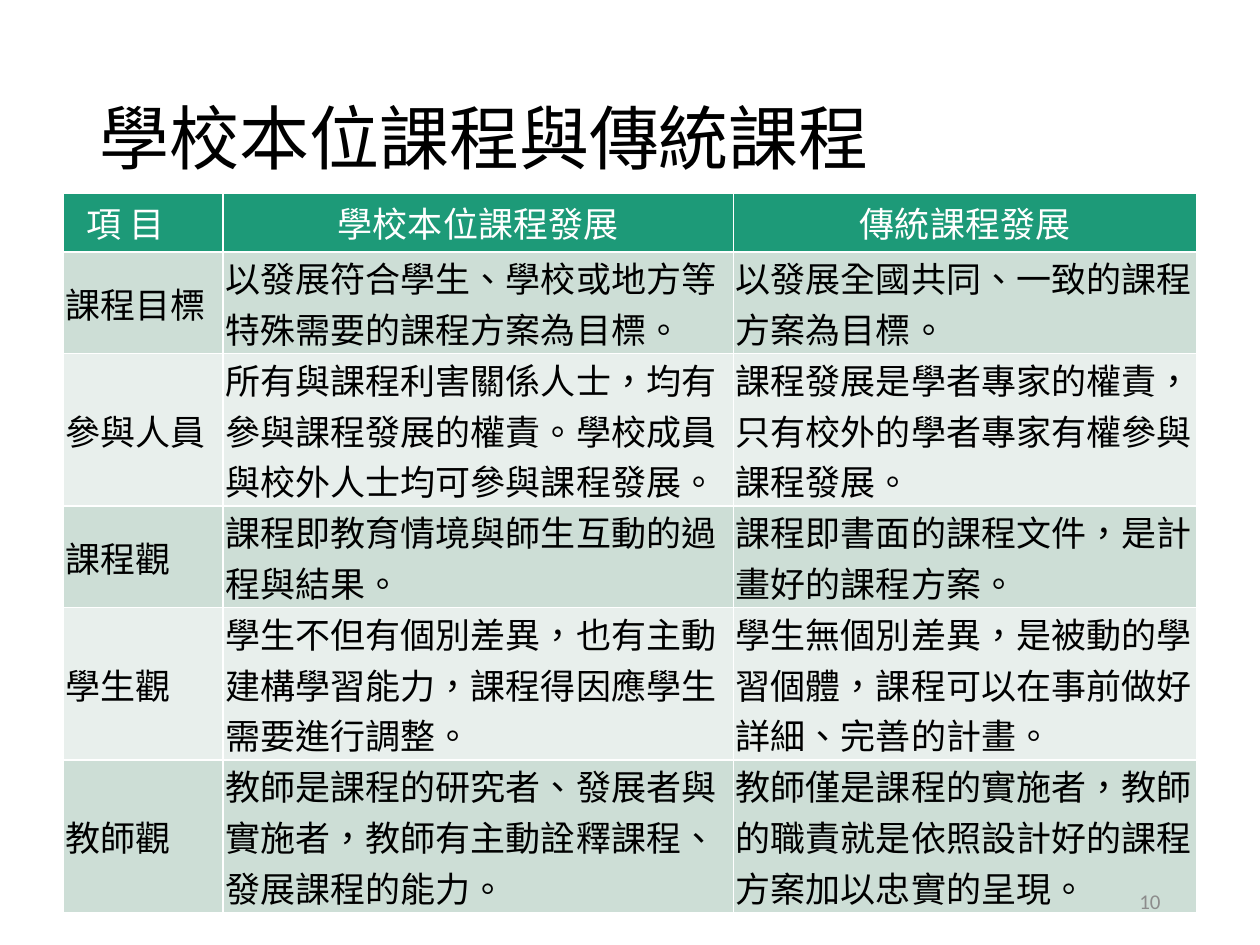
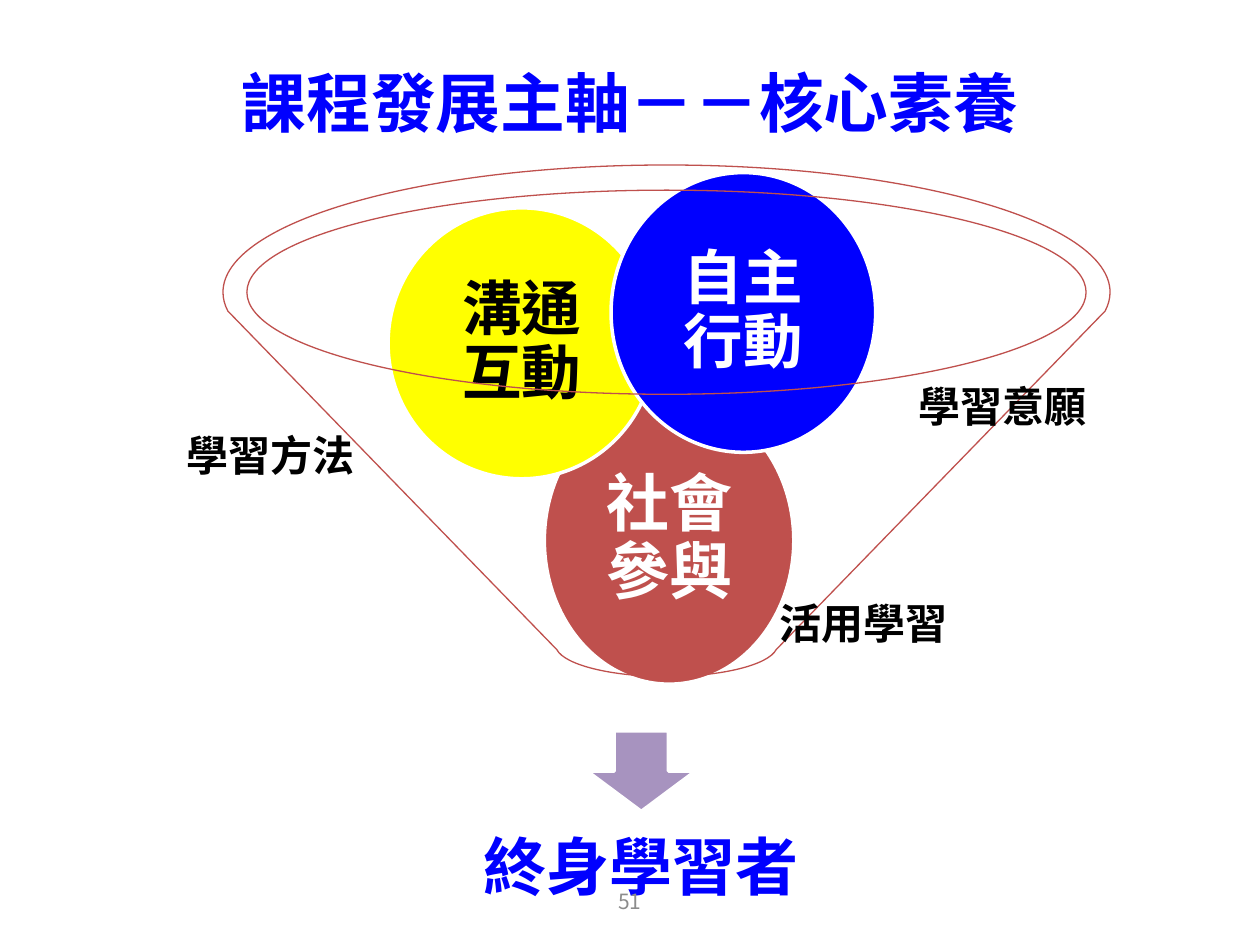
from math import cos, sin, tan, radians
from lxml import etree
from pptx import Presentation, util as u
from pptx.dml.color import RGBColor
from pptx.enum import shapes, text
from pptx.oxml.ns import qn

# ---- Content ----
TABLE_TITLE = "學校本位課程與傳統課程"
TABLE = [
    ("項 目", "學校本位課程發展", "傳統課程發展"),
    ("課程目標", "以發展符合學生、學校或地方等特殊需要的課程方案為目標。",
     "以發展全國共同、一致的課程方案為目標。"),
    ("參與人員", "所有與課程利害關係人士，均有參與課程發展的權責。學校成員與校外人士均可參與課程發展。",
     "課程發展是學者專家的權責，只有校外的學者專家有權參與課程發展。"),
    ("課程觀", "課程即教育情境與師生互動的過程與結果。",
     "課程即書面的課程文件，是計畫好的課程方案。"),
    ("學生觀", "學生不但有個別差異，也有主動建構學習能力，課程得因應學生需要進行調整。",
     "學生無個別差異，是被動的學習個體，課程可以在事前做好詳細、完善的計畫。"),
    ("教師觀", "教師是課程的研究者、發展者與實施者，教師有主動詮釋課程、發展課程的能力。",
     "教師僅是課程的實施者，教師的職責就是依照設計好的課程方案加以忠實的呈現。"),
]
COL_WIDTHS = (1.27, 4.05, 3.68)
ROW_HEIGHTS = (0.47, 0.78, 1.16, 0.78, 1.16, 1.16)

FUNNEL_TITLE = "課程發展主軸－－核心素養"
OUTCOME = "終身學習者"
# text, box, fill, text colour, size
COMPETENCIES = [
    ("社會參與", (4.32, 3.15, 1.98, 2.28), "red", "white", 36),
    ("溝通互動", (3.08, 1.65, 2.12, 2.15), "yellow", "black", 34),
    ("自主行動", (4.85, 1.37, 2.10, 2.22), "blue", "white", 34),
]
# text, left, top, alignment
SIDE_LABELS = [
    ("學習意願", 7.19, 2.97, "l"),
    ("學習方法", 1.25, 3.36, "c"),
    ("活用學習", 6.09, 4.69, "l"),
]

# ---- Shared style ----
COLORS = dict(black="000000", white="FFFFFF", blue="0000FF", yellow="FFFF00",
              red="BF504D", purple="A793BF", gray="8C8C8C",
              head="1D9A78", band_dark="CDDED6", band_light="E8EFEC")
SANS, CJK, SERIF = "Calibri", "Noto Sans CJK SC", "Times New Roman"
ALIGN = dict(l=text.PP_ALIGN.LEFT, c=text.PP_ALIGN.CENTER, r=text.PP_ALIGN.RIGHT)
MIDDLE, TOP = text.MSO_ANCHOR.MIDDLE, text.MSO_ANCHOR.TOP


def rgb(name):
    return RGBColor.from_string(COLORS[name])


def inches(box):
    return [u.Inches(v) for v in box]


def write(tf, words, size=20, color="black", font=CJK, bold=False, align="l",
          spacing=None, indent=0):
    p = tf.paragraphs[0]
    p.alignment = ALIGN[align]
    if spacing:
        p.line_spacing = spacing
    if indent:
        p._p.get_or_add_pPr().set("indent", str(u.Inches(indent)))
    r = p.add_run()
    r.text = words
    r.font.size, r.font.bold, r.font.name = u.Pt(size), bold, font
    r.font.color.rgb = rgb(color)
    rPr = r._r.get_or_add_rPr()
    rPr.set("lang", "zh-TW")
    etree.SubElement(rPr, qn("a:ea")).set("typeface", CJK)


def frame(tf, anchor=MIDDLE, inset=(0.1, 0.05)):
    tf.word_wrap = True
    tf.auto_size = text.MSO_AUTO_SIZE.NONE
    tf.vertical_anchor = anchor
    tf.margin_left = tf.margin_right = u.Inches(inset[0])
    tf.margin_top = tf.margin_bottom = u.Inches(inset[1])
    return tf


def textbox(s, words, box, anchor=MIDDLE, inset=(0.1, 0.05), **fmt):
    write(frame(s.shapes.add_textbox(*inches(box)).text_frame, anchor, inset), words, **fmt)


def title(s, words, box, **fmt):
    sp = s.shapes.title
    sp.left, sp.top, sp.width, sp.height = inches(box)
    write(frame(sp.text_frame), words, **fmt)


def page_number(s, number, left, width, **fmt):
    textbox(s, number, (left, 6.95, width, 0.4), size=12, color="gray", **fmt)


def style(sp, fill=None, line="white", width=2):
    sp.shadow.inherit = False
    if fill:
        sp.fill.solid()
        sp.fill.fore_color.rgb = rgb(fill)
    else:
        sp.fill.background()
    sp.line.color.rgb = rgb(line)
    sp.line.width = u.Pt(width)


def cell_borders(cell, color="white", width=1):
    tcPr = cell._tc.get_or_add_tcPr()
    for side in ("lnL", "lnR", "lnT", "lnB"):
        ln = etree.SubElement(tcPr, qn("a:" + side), w=str(u.Pt(width)))
        fill = etree.SubElement(ln, qn("a:solidFill"))
        etree.SubElement(fill, qn("a:srgbClr"), val=COLORS[color])


def arc(cx, cy, rx, ry, *angles):
    """Bezier points of an elliptical arc through the angles (clockwise from the right)."""
    def point(a, k=0):
        return u.Inches(cx + rx * (cos(a) - k * sin(a))), u.Inches(cy + ry * (sin(a) + k * cos(a)))

    turns = [radians(a) for a in angles]
    points = [point(turns[0])]
    for a, b in zip(turns, turns[1:]):
        k = 4 / 3 * tan((b - a) / 4)
        points += [point(a, k), point(b, -k), point(b)]
    return points


def curved_outline(s, contours):
    """Closed contours, each a list of arcs joined by straight lines."""
    outlines = [sum(arcs, []) for arcs in contours]
    fb = s.shapes.build_freeform(*outlines[0][0], scale=1.0)
    for i, points in enumerate(outlines):
        if i:
            fb.move_to(*points[0])
        fb.add_line_segments(points[1:], close=True)
    sp = fb.convert_to_shape()
    lines = iter(list(sp._element.iter(qn("a:lnTo"))))
    for arcs in contours:
        for j, points in enumerate(arcs):
            if j:
                next(lines)  # straight join between arcs
            for _ in range(len(points) // 3):
                curve = next(lines)
                curve.tag = qn("a:cubicBezTo")
                for _ in range(2):
                    line = next(lines)
                    curve.append(line[0])
                    line.getparent().remove(line)
    return sp


# ---- Slides ----
def comparison_slide(prs):
    s = prs.slides.add_slide(prs.slide_layouts[5])
    title(s, TABLE_TITLE, (0.69, 0.4, 8.62, 1.45), size=40, font=SANS, spacing=0.9)

    box = (0.5, 1.53, sum(COL_WIDTHS), sum(ROW_HEIGHTS))
    table = s.shapes.add_table(len(TABLE), len(COL_WIDTHS), *inches(box)).table
    for col, width in zip(table.columns, COL_WIDTHS):
        col.width = u.Inches(width)
    for i, (row, height) in enumerate(zip(TABLE, ROW_HEIGHTS)):
        table.rows[i].height = u.Inches(height)
        band = "head" if i == 0 else ("band_light", "band_dark")[i % 2]
        for j, words in enumerate(row):
            cell = table.cell(i, j)
            cell_borders(cell)
            cell.fill.solid()
            cell.fill.fore_color.rgb = rgb(band)
            cell.margin_left = cell.margin_right = u.Inches(0.02)
            cell.margin_top = cell.margin_bottom = 0
            cell.vertical_anchor = MIDDLE if i == 0 or j == 0 else TOP
            write(cell.text_frame, words, font=SERIF,
                  color="black" if i else "white",
                  align="c" if i == 0 and j else "l",
                  indent=0.17 if i == j == 0 else 0)
    page_number(s, "10", 7.06, 2.25, font=SANS, align="r")


def funnel_slide(prs):
    s = prs.slides.add_slide(prs.slide_layouts[5])
    title(s, FUNNEL_TITLE, (0.5, 0.31, 9, 0.99), size=37, color="blue", bold=True, align="c")

    # Arrow to the outcome
    arrow = s.shapes.add_shape(shapes.MSO_SHAPE.DOWN_ARROW, *inches((4.66, 5.8, 0.86, 0.64)))
    style(arrow, "purple")
    textbox(s, OUTCOME, (3.03, 6.31, 4.12, 1.19), inset=(0.28, 0.28), size=36,
            color="blue", bold=True, align="c", spacing=0.9)

    # Competency circles
    for words, box, fill, color, size in COMPETENCIES:
        sp = s.shapes.add_shape(shapes.MSO_SHAPE.OVAL, *inches(box))
        style(sp, fill)
        write(frame(sp.text_frame, inset=(0.05, 0.05)), words, size=size,
              color=color, bold=True, align="c", spacing=0.9)

    # Funnel: outer rim joined to the spout, and the inner rim
    cx, rim_y, spout_y, tilt = 5.29, 2.32, 5.12, 8.5
    rim = arc(cx, rim_y, 3.52, 1.01, 180 - tilt, 180, 270, 360, 360 + tilt)
    spout = arc(cx, spout_y, 0.88, 0.25, tilt, 90, 180 - tilt)
    inner = arc(cx, rim_y, 3.33, 0.81, 180, 90, 0, -90, -180)
    style(curved_outline(s, [[rim, spout], [inner]]), line="red", width=0.75)

    # Labels around the funnel
    for words, left, top, align in SIDE_LABELS:
        textbox(s, words, (left, top, 1.8, 0.51), anchor=TOP, size=24, bold=True, align=align)
    page_number(s, "51", 3.31, 3.38, align="c")


def main():
    prs = Presentation()
    prs.slide_width, prs.slide_height = u.Inches(10), u.Inches(7.5)
    comparison_slide(prs)
    funnel_slide(prs)
    prs.save("out.pptx")


if __name__ == "__main__":
    main()
